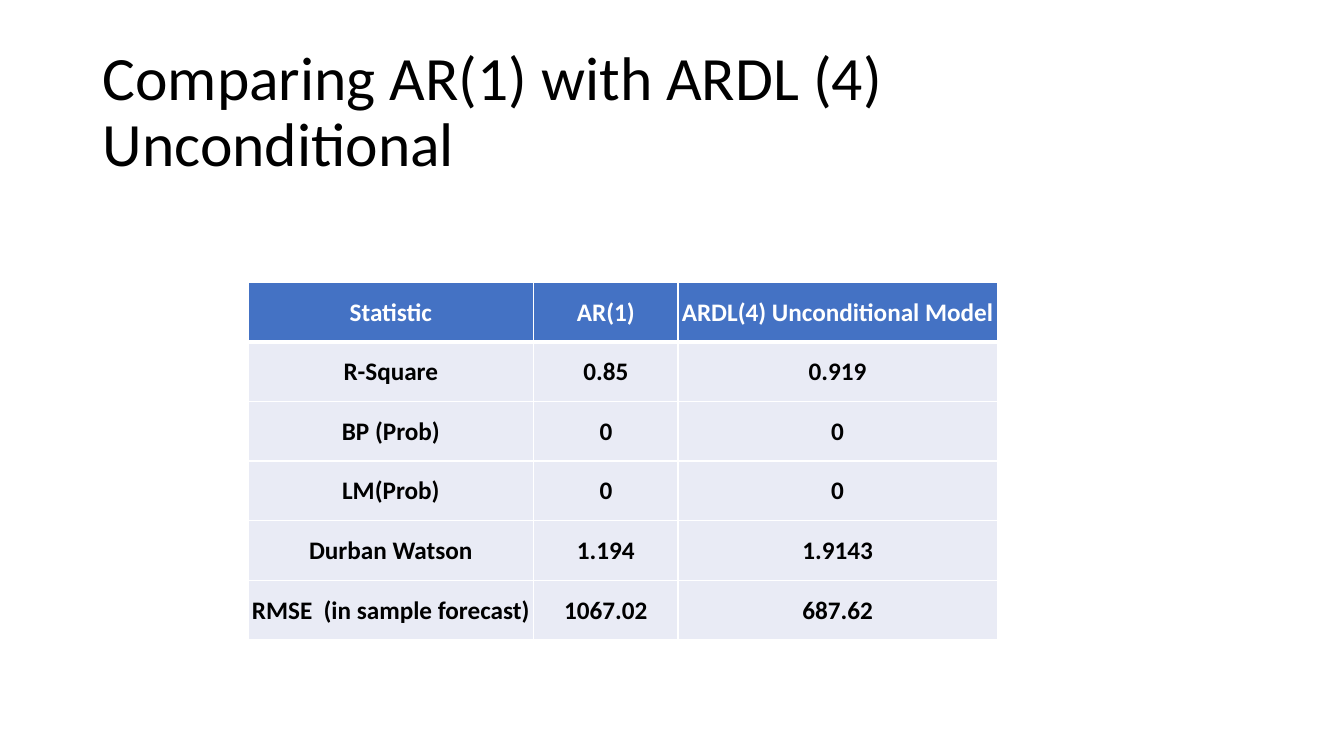
from dataclasses import dataclass

from lxml import etree
from pptx import Presentation
from pptx.dml.color import RGBColor
from pptx.enum.text import MSO_ANCHOR, PP_ALIGN
from pptx.oxml.ns import qn
from pptx.util import Inches, Pt

MIDDLE = MSO_ANCHOR.MIDDLE
LEFT, CENTER = PP_ALIGN.LEFT, PP_ALIGN.CENTER


@dataclass(frozen=True)
class Theme:
    font: str = "Calibri"
    title_size: int = 44
    table_size: int = 18
    text: str = "000000"
    header_text: str = "FFFFFF"
    header_fill: str = "4472C4"
    body_fill: str = "E9EBF5"
    border: str = "FFFFFF"
    thin: int = 1
    thick: int = 3


THEME = Theme()

TITLE = "Comparing AR(1) with ARDL (4) Unconditional"
ROWS = [
    ("Statistic", "AR(1)", "ARDL(4) Unconditional Model"),
    ("R-Square", "0.85", "0.919"),
    ("BP (Prob)", "0", "0"),
    ("LM(Prob)", "0", "0"),
    ("Durban Watson", "1.194", "1.9143"),
    ("RMSE  (in sample forecast)", "1067.02", "687.62"),
]
COL_WIDTHS = (2.83, 1.43, 3.16)


def add_text(tf, text, size, color, align, bold=False):
    p = tf.paragraphs[0]
    p.alignment = align
    r = p.add_run()
    r.text = text
    r.font.name = THEME.font
    r.font.size = Pt(size)
    r.font.bold = bold
    r.font.color.rgb = RGBColor.from_string(color)
    return p


def set_borders(cell, widths):
    """Draw the cell's edges; widths maps an edge letter to points."""
    tcPr = cell._tc.get_or_add_tcPr()
    for i, (edge, width) in enumerate(widths.items()):
        ln = etree.Element(qn(f"a:ln{edge}"), w=str(Pt(width)))
        fill = etree.SubElement(ln, qn("a:solidFill"))
        etree.SubElement(fill, qn("a:srgbClr"), val=THEME.border)
        tcPr.insert(i, ln)  # edges come before the cell fill


def add_title(s, left, top, width, height):
    tf = s.shapes.add_textbox(
        Inches(left), Inches(top), Inches(width), Inches(height)).text_frame
    tf.word_wrap = True
    tf.vertical_anchor = MIDDLE
    tf.margin_right = Inches(0.2)
    p = add_text(tf, TITLE, THEME.title_size, THEME.text, LEFT)
    p.line_spacing = 0.9


def add_statistics_table(s, left, top, width, height):
    table = s.shapes.add_table(
        len(ROWS), len(COL_WIDTHS),
        Inches(left), Inches(top), Inches(width), Inches(height)).table
    table.horz_banding = False

    # Column widths share the box in proportion
    for col, share in zip(table.columns, COL_WIDTHS):
        col.width = Inches(width * share / sum(COL_WIDTHS))

    # Cells: header row first, then the statistics
    for i, row in enumerate(ROWS):
        header = i == 0
        for j, text in enumerate(row):
            cell = table.cell(i, j)
            cell.vertical_anchor = MIDDLE
            cell.margin_left = cell.margin_right = cell.margin_top = Inches(0.01)
            cell.margin_bottom = 0
            cell.fill.solid()
            cell.fill.fore_color.rgb = RGBColor.from_string(
                THEME.header_fill if header else THEME.body_fill)
            add_text(cell.text_frame, text, THEME.table_size,
                     THEME.header_text if header else THEME.text, CENTER, True)
            set_borders(cell, {
                "L": THEME.thin,
                "R": THEME.thin,
                "T": THEME.thick if i == 1 else THEME.thin,
                "B": THEME.thick if header else THEME.thin,
            })


def main():
    prs = Presentation()
    prs.slide_width, prs.slide_height = Inches(13.33), Inches(7.5)
    s = prs.slides.add_slide(prs.slide_layouts[6])
    add_title(s, 0.92, 0.4, 11.5, 1.45)
    add_statistics_table(s, 2.46, 2.8, 7.43, 3.55)
    prs.save("out.pptx")


if __name__ == "__main__":
    main()
